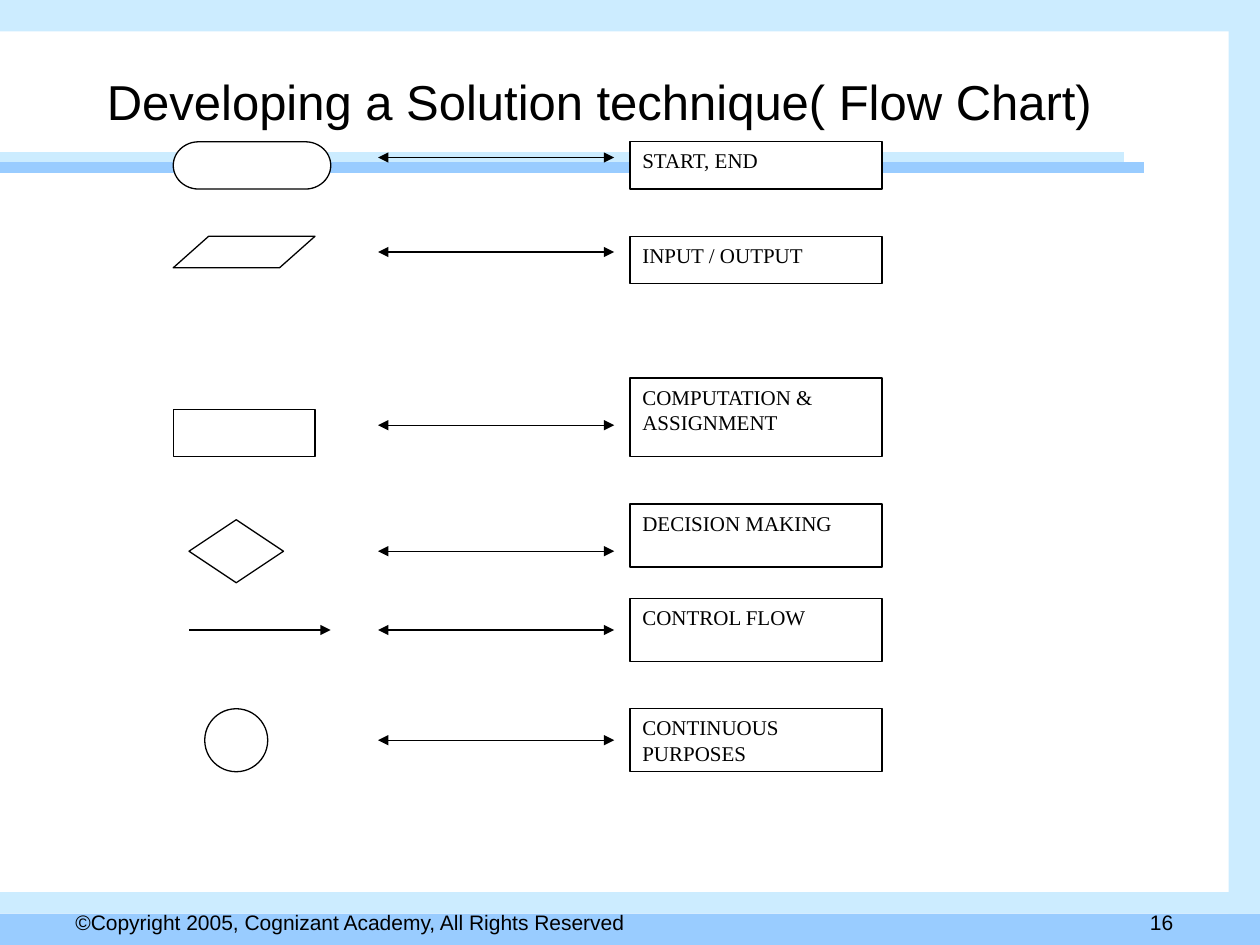
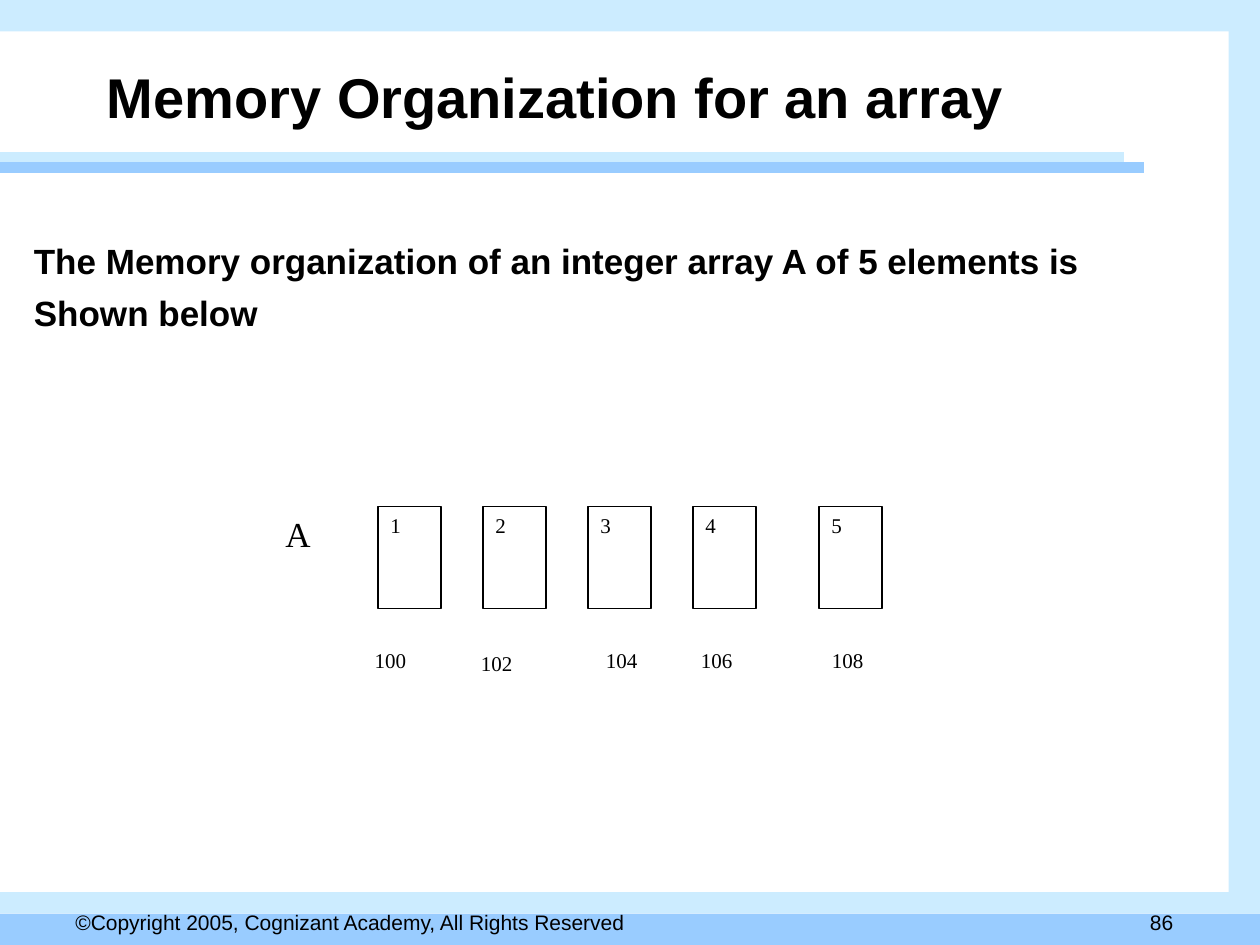
from dataclasses import dataclass
from lxml.etree import SubElement
from pptx import Presentation
from pptx.dml.color import RGBColor
from pptx.enum.shapes import MSO_CONNECTOR, MSO_SHAPE
from pptx.enum.text import MSO_ANCHOR, PP_ALIGN
from pptx.oxml.ns import qn
from pptx.util import Inches, Pt


@dataclass(frozen=True)
class Theme:
    pale: str = "CCECFF"
    blue: str = "99CCFF"
    ink: str = "000000"
    paper: str = "FFFFFF"
    sans: str = "Arial"
    serif: str = "Times New Roman"
    small: int = 12
    body: int = 20
    hairline: float = 0.75
    band: int = 6


T = Theme()
W, H = 10, 7.5

# Content
COPYRIGHT = "©Copyright 2005, Cognizant Academy, All Rights Reserved"
FLOW = {"title": "Developing a Solution technique( Flow Chart)",
        "size": 28, "bold": False, "number": "16"}
ARRAY = {"title": "Memory Organization for an array",
         "size": 32, "bold": True, "number": "86"}

# Symbol, its box, arrow row, label, label row, label rows; grid of 1/8 inch
EIGHTH = 1 / 8
SYMBOLS = [
    (MSO_SHAPE.FLOWCHART_TERMINATOR, (11, 9, 10, 3), 10, "START, END", 9, 3),
    (MSO_SHAPE.PARALLELOGRAM, (11, 15, 9, 2), 16, "INPUT / OUTPUT", 15, 3),
    (MSO_SHAPE.FLOWCHART_PROCESS, (11, 26, 9, 3), 27,
     "COMPUTATION & ASSIGNMENT", 24, 5),
    (MSO_SHAPE.DIAMOND, (12, 33, 6, 4), 35, "DECISION MAKING", 32, 4),
    (None, (12, 40, 9, 0), 40, "CONTROL FLOW", 38, 4),
    (MSO_SHAPE.OVAL, (13, 45, 4, 4), 47, "CONTINUOUS PURPOSES", 45, 4),
]
ARROW_COLS, LABEL_COL, LABEL_COLS = (24, 39), 40, 16

INTRO = ["The Memory organization of an integer array A of 5 elements is",
         "Shown below"]
# Value, address, column on a grid of 1/6 inch, address indent and drop
SIXTH = 1 / 6
CELLS = [("1", "100", 18, 0.04, 0), ("2", "102", 23, 0.05, 0.02),
         ("3", "104", 28, 0.21, 0), ("4", "106", 33, 0.13, 0),
         ("5", "108", 39, 0.17, 0)]
CELL_TOP, ADDRESS_TOP, CELL_H = 4.02, 5.09, 0.81


def rgb(color):
    return RGBColor.from_string(color)


def write(shape, lines, size, font, bold=False, align=PP_ALIGN.LEFT,
          anchor=MSO_ANCHOR.TOP, gap=0, indent=0, drop=0):
    tf = shape.text_frame
    tf.word_wrap = True
    tf.vertical_anchor = anchor
    tf.margin_left, tf.margin_right = Inches(0.1 + indent), Inches(0.1)
    tf.margin_top, tf.margin_bottom = Inches(0.05 + drop), Inches(0.05)
    for i, line in enumerate(lines):
        p = tf.add_paragraph() if i else tf.paragraphs[0]
        p.alignment = align
        p.space_before = Pt(gap if i else 0)
        r = p.add_run()
        r.text = line
        r.font.size, r.font.name, r.font.bold = Pt(size), font, bold
        r.font.color.rgb = rgb(T.ink)


def text(s, box, lines, size, font, **style):
    write(s.shapes.add_textbox(*map(Inches, box)), lines, size, font, **style)


def shape(s, kind, box, fill=T.paper, line=T.ink):
    sp = s.shapes.add_shape(kind, *map(Inches, box))
    sp.shadow.inherit = False
    sp.fill.solid()
    sp.fill.fore_color.rgb = rgb(fill)
    if line:
        sp.line.color.rgb = rgb(line)
        sp.line.width = Pt(T.hairline)
    else:
        sp.line.fill.background()
    return sp


def rule(s, x1, x2, y, color=T.ink, width=T.hairline, heads=()):
    """Horizontal line; heads lists the ends that carry a triangle."""
    c = s.shapes.add_connector(MSO_CONNECTOR.STRAIGHT,
                               *map(Inches, (x1, y, x2, y)))
    c.line.color.rgb = rgb(color)
    c.line.width = Pt(width)
    ln = c.line._get_or_add_ln()
    for end in heads:
        SubElement(ln, qn(f"a:{end}"), type="triangle")
    SubElement(c._element.spPr, qn("a:effectLst"))


def label(s, box, content, line=T.ink, size=T.small, **style):
    write(shape(s, MSO_SHAPE.RECTANGLE, box, line=line), [content], size,
          T.serif, **style)


def base_slide(prs, head):
    s = prs.slides.add_slide(prs.slide_layouts[6])
    # Frame bands
    for box, color in [((0, 0, W, 0.25), T.pale),
                       ((0, H - 0.25, W, 0.25), T.blue),
                       ((0, H - 0.42, W, 0.17), T.pale),
                       ((W - 0.25, 0, 0.25, H - 0.25), T.pale)]:
        shape(s, MSO_SHAPE.RECTANGLE, box, color, None)
    # Title underline
    rule(s, 0, 8.92, 1.25, T.pale, T.band)
    rule(s, 0, 9.08, 1.33, T.blue, T.band)
    # Footer and title
    text(s, (7.33, 7.17, 2.08, 0.25), [head["number"]], T.small, T.sans,
         align=PP_ALIGN.RIGHT)
    text(s, (0.5, 7.17, 6.56, 0.25), [COPYRIGHT], T.small, T.sans)
    text(s, (0.75, 0.33, 8.42, 0.75), [head["title"]], head["size"], T.sans,
         bold=head["bold"], anchor=MSO_ANCHOR.BOTTOM)
    return s


def flow_chart_slide(prs):
    s = base_slide(prs, FLOW)
    for kind, cells, arrow_row, name, row, rows in SYMBOLS:
        x, y, w, h = box = [n * EIGHTH for n in cells]
        if kind is None:
            rule(s, x, x + w, y, heads=["tailEnd"])
        else:
            symbol = shape(s, kind, box)
            if kind == MSO_SHAPE.PARALLELOGRAM:
                symbol.adjustments[0] = 1.125
        start, end = (n * EIGHTH for n in ARROW_COLS)
        rule(s, start, end, arrow_row * EIGHTH, heads=["headEnd", "tailEnd"])
        label(s, [n * EIGHTH for n in (LABEL_COL, row, LABEL_COLS, rows)], name)


def array_slide(prs):
    s = base_slide(prs, ARRAY)
    text(s, (0.17, 1.85, 9.58, 5.07), INTRO, T.body, T.sans, bold=True, gap=6)
    # Array cells
    for value, _, col, _, _ in CELLS:
        label(s, (col * SIXTH, CELL_TOP, 0.5, CELL_H), value)
    # Addresses, one column left of their cells
    for _, address, col, indent, drop in CELLS:
        label(s, ((col - 1) * SIXTH, ADDRESS_TOP, 1, CELL_H), address,
              line=T.paper, indent=indent, drop=drop)
    label(s, (13 * SIXTH, CELL_TOP, 0.5, CELL_H), "A", line=T.paper,
          size=T.body)


def main():
    prs = Presentation()
    prs.slide_width, prs.slide_height = Inches(W), Inches(H)
    flow_chart_slide(prs)
    array_slide(prs)
    prs.save("out.pptx")


if __name__ == "__main__":
    main()
